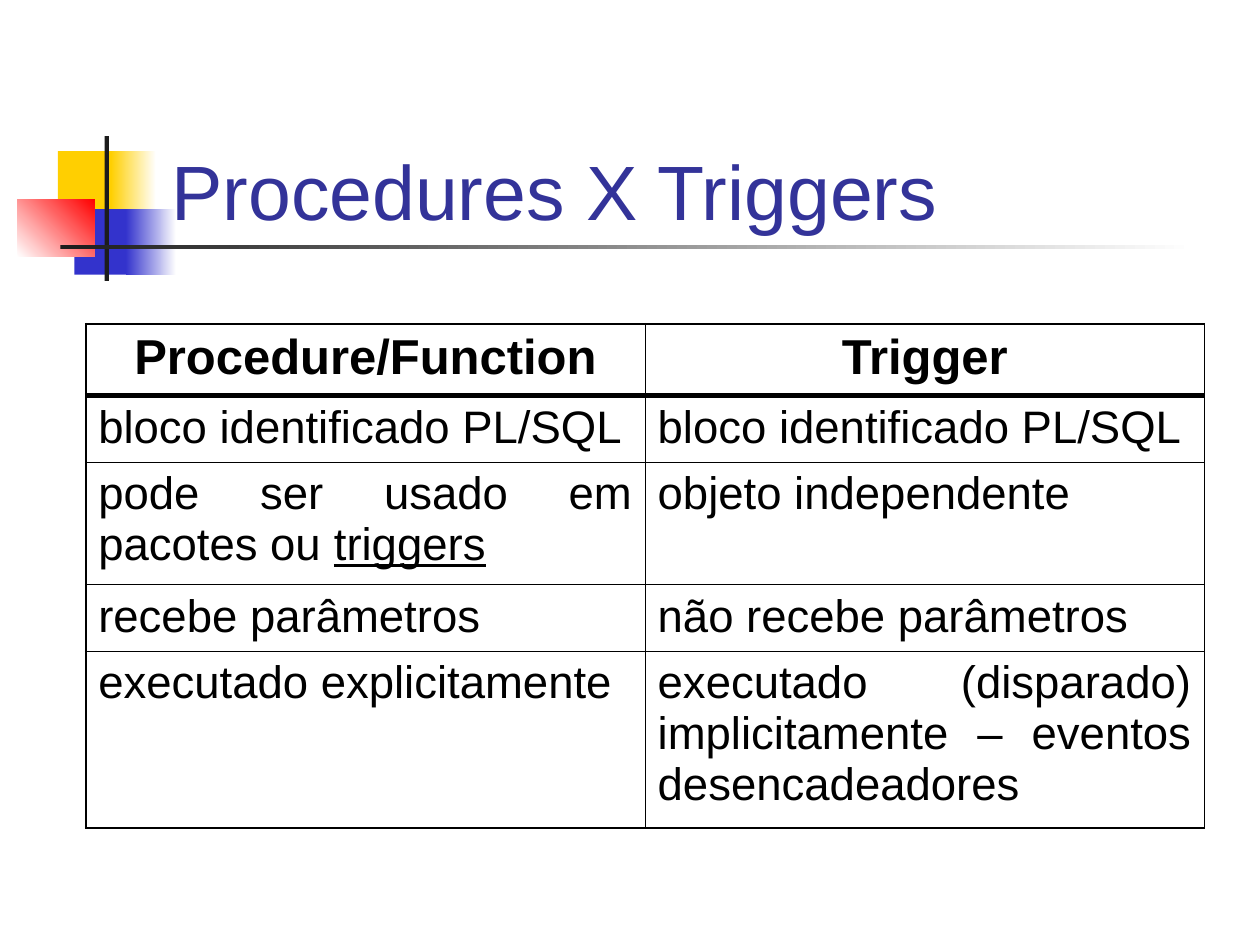
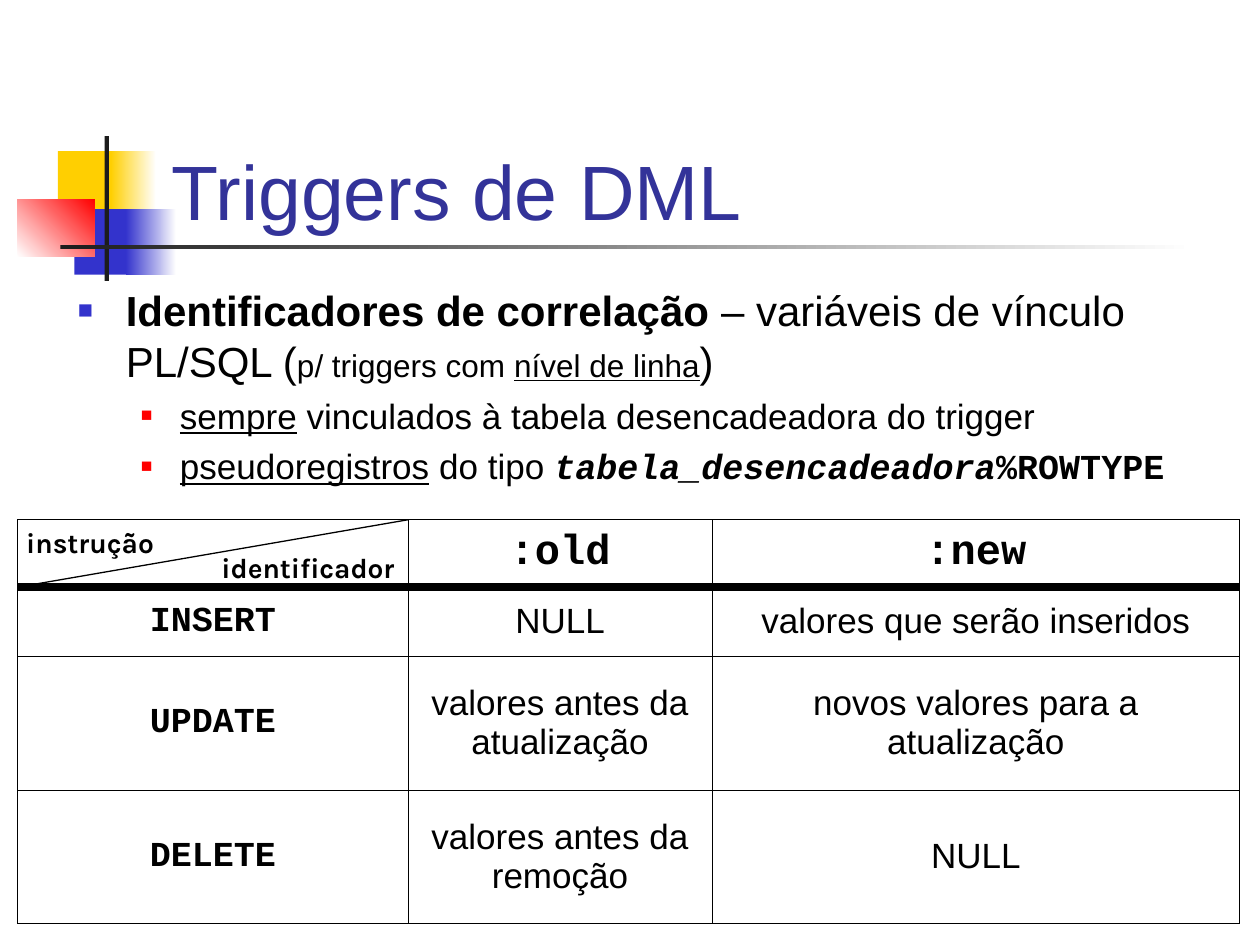
from dataclasses import dataclass, replace
from typing import NamedTuple

from lxml.etree import SubElement
from pptx import Presentation
from pptx.dml.color import RGBColor
from pptx.enum.shapes import MSO_CONNECTOR, MSO_SHAPE
from pptx.enum.text import MSO_ANCHOR, MSO_AUTO_SIZE, PP_ALIGN
from pptx.oxml.ns import qn
from pptx.slide import Slide
from pptx.table import _Cell
from pptx.text.text import _Paragraph
from pptx.util import Emu, Inches, Pt

WIDTH, HEIGHT = Inches(10), Inches(7.5)
COLUMNS, ROWS = 100, 75
BLACK, WHITE, INK = "000000", "FFFFFF", "1C1C1C"
YELLOW, BLUE, RED, TITLE_BLUE = "FFCF01", "3333CC", "FF0000", "333399"
SANS, MONO, LABEL = "Arial", "Courier New", "Karla"


class Box(NamedTuple):
    left: float
    top: float
    width: float
    height: float


class Band(NamedTuple):
    box: Box
    start: str
    end: str | None = None
    angle: float = 0


class Bullet(NamedTuple):
    color: str
    size: int
    margin: float
    hanging: float
    level: int
    space_before: float


class Borders(NamedTuple):
    outer: float
    inner: float
    header: float


@dataclass(frozen=True)
class Span:
    text: str
    size: float
    font: str = SANS
    bold: bool = False
    italic: bool = False
    underline: bool = False
    color: str = BLACK


@dataclass(frozen=True)
class Entry:
    spans: tuple[Span, ...]
    alignment: PP_ALIGN = PP_ALIGN.CENTER
    anchor: MSO_ANCHOR = MSO_ANCHOR.MIDDLE


BANDS = (
    Band(Box(4.6, 12, 4.8, 5.2), YELLOW),
    Band(Box(8.8, 12, 3.6, 5.2), YELLOW, WHITE),
    Band(Box(5.9, 16.6, 4.6, 5.2), BLUE),
    Band(Box(10, 16.6, 4, 5.2), BLUE, WHITE),
    Band(Box(1.4, 15.8, 6.1, 4.6), WHITE, RED, 45),
    Band(Box(8.3, 10.8, 0.35, 11.5), INK),
    Band(Box(4.8, 19.45, 90, 0.35), INK, WHITE),
)
TITLE_BOX = Box(12.6, 6.7, 85.2, 12.5)
MAIN_BULLET = Bullet(BLUE, 60, 3.8, 3.8, 0, 6)
SUB_BULLET = Bullet(RED, 55, 8.1, 3.1, 1, 5)


def across(columns: float) -> Emu:
    return Emu(round(WIDTH * columns / COLUMNS))


def down(rows: float) -> Emu:
    return Emu(round(HEIGHT * rows / ROWS))


def place(box: Box) -> tuple[Emu, Emu, Emu, Emu]:
    return across(box.left), down(box.top), across(box.width), down(box.height)


def color(value: str) -> RGBColor:
    return RGBColor.from_string(value)


def add_spans(paragraph: _Paragraph, spans: tuple[Span, ...]) -> None:
    for span in spans:
        run = paragraph.add_run()
        run.text = span.text
        font = run.font
        font.name, font.size = span.font, Pt(span.size)
        font.bold, font.italic, font.underline = span.bold, span.italic, span.underline
        font.color.rgb = color(span.color)


def draw_band(slide: Slide, band: Band) -> None:
    shape = slide.shapes.add_shape(MSO_SHAPE.RECTANGLE, *place(band.box))
    shape.shadow.inherit = False
    shape.line.fill.background()
    if band.end is None:
        shape.fill.solid()
        shape.fill.fore_color.rgb = color(band.start)
        return
    shape.fill.gradient()
    shape.fill.gradient_angle = band.angle
    for stop, value in zip(shape.fill.gradient_stops, (band.start, band.end)):
        stop.color.rgb = color(value)


def add_titled_slide(presentation: Presentation, text: str) -> Slide:
    slide = presentation.slides.add_slide(presentation.slide_layouts[5])
    for band in BANDS:
        draw_band(slide, band)
    title = slide.shapes.title
    slide.shapes.element.append(title.element)
    title.left, title.top, title.width, title.height = place(TITLE_BOX)
    frame = title.text_frame
    frame.auto_size, frame.vertical_anchor = MSO_AUTO_SIZE.NONE, MSO_ANCHOR.BOTTOM
    paragraph = frame.paragraphs[0]
    paragraph.alignment = PP_ALIGN.LEFT
    add_spans(paragraph, (Span(text, 44, color=TITLE_BLUE),))
    return slide


def add_bullet(paragraph: _Paragraph, bullet: Bullet) -> None:
    properties = paragraph._p.get_or_add_pPr()
    properties.set("marL", str(across(bullet.margin)))
    properties.set("indent", str(-across(bullet.hanging)))
    tint = SubElement(properties, qn("a:buClr"))
    SubElement(tint, qn("a:srgbClr"), val=bullet.color)
    SubElement(properties, qn("a:buSzPct"), val=str(bullet.size * 1000))
    SubElement(properties, qn("a:buFont"), typeface=SANS)
    SubElement(properties, qn("a:buChar"), char="■")
    paragraph.level = bullet.level


def add_bullets(slide: Slide, box: Box, items: list[tuple[Bullet, tuple[Span, ...]]]) -> None:
    frame = slide.shapes.add_textbox(*place(box)).text_frame
    frame.word_wrap = True
    for index, (bullet, spans) in enumerate(items):
        paragraph = frame.add_paragraph() if index else frame.paragraphs[0]
        add_bullet(paragraph, bullet)
        if index:
            paragraph.space_before = Pt(bullet.space_before)
        add_spans(paragraph, spans)


def set_borders(cell: _Cell, widths: dict[str, float]) -> None:
    properties = cell._tc.get_or_add_tcPr()
    for side in "LRTB":
        line = SubElement(properties, qn(f"a:ln{side}"), w=str(Pt(widths[side])))
        fill = SubElement(line, qn("a:solidFill"))
        SubElement(fill, qn("a:srgbClr"), val=BLACK)


def add_grid(slide: Slide, left: float, top: float, widths: list[float],
             heights: list[float], entries: list[list[Entry]], borders: Borders) -> None:
    box = Box(left, top, sum(widths), sum(heights))
    table = slide.shapes.add_table(len(heights), len(widths), *place(box)).table
    table.first_row = table.horz_banding = False
    for column, width in zip(table.columns, widths):
        column.width = across(width)
    for row, height in zip(table.rows, heights):
        row.height = down(height)
    row_edges = [borders.outer, borders.header]
    row_edges += [borders.inner] * (len(heights) - 2) + [borders.outer]
    column_edges = [borders.outer] + [borders.inner] * (len(widths) - 1) + [borders.outer]
    for row, line in enumerate(entries):
        for column, entry in enumerate(line):
            cell = table.cell(row, column)
            set_borders(cell, {"L": column_edges[column], "R": column_edges[column + 1],
                               "T": row_edges[row], "B": row_edges[row + 1]})
            cell.fill.background()
            cell.vertical_anchor = entry.anchor
            paragraph = cell.text_frame.paragraphs[0]
            paragraph.alignment = entry.alignment
            add_spans(paragraph, entry.spans)


def add_line(slide: Slide, start: tuple[float, float], end: tuple[float, float],
             width: float) -> None:
    line = slide.shapes.add_connector(
        MSO_CONNECTOR.STRAIGHT, across(start[0]), down(start[1]), across(end[0]), down(end[1]))
    line.line.color.rgb = color(BLACK)
    line.line.width = Pt(width)
    SubElement(line._element.spPr, qn("a:effectLst"))


def add_label(slide: Slide, box: Box, text: str) -> None:
    frame = slide.shapes.add_textbox(*place(box)).text_frame
    frame.word_wrap = False
    frame.auto_size = MSO_AUTO_SIZE.SHAPE_TO_FIT_TEXT
    add_spans(frame.paragraphs[0], (Span(text, 16, LABEL, bold=True),))


def build_comparison(presentation: Presentation) -> None:
    slide = add_titled_slide(presentation, "Procedures X Triggers")

    def heading(text: str) -> Entry:
        return Entry((Span(text, 28, bold=True),), anchor=MSO_ANCHOR.TOP)

    def feature(text: str, underlined: str = "") -> Entry:
        spans = (Span(text, 26),)
        if underlined:
            spans += (Span(underlined, 26, underline=True),)
        return Entry(spans, PP_ALIGN.JUSTIFY, MSO_ANCHOR.TOP)

    entries = [
        [heading("Procedure/Function"), heading("Trigger")],
        [feature("bloco identificado PL/SQL")] * 2,
        [feature("pode ser usado em pacotes ou ", "triggers"), feature("objeto independente")],
        [feature("recebe parâmetros"), feature("não recebe parâmetros")],
        [feature("executado explicitamente"),
         feature("executado (disparado) implicitamente – eventos desencadeadores")],
    ]
    add_grid(slide, 6.8, 25.7, [44.4] * 2, [5.7, 5.3, 9.7, 5.3, 14], entries,
             Borders(1.08, 0.45, 3))


def build_dml_triggers(presentation: Presentation) -> None:
    slide = add_titled_slide(presentation, "Triggers de DML")
    lead, note, detail = Span("", 24), Span("", 18), Span("", 20)
    code = replace(detail, font=MONO, bold=True)
    add_bullets(slide, Box(5.2, 22.1, 92.8, 18), [
        (MAIN_BULLET, (
            replace(lead, text="Identificadores de correlação ", bold=True),
            replace(lead, text="– variáveis de vínculo PL/SQL ("),
            replace(note, text="p/ triggers com "),
            replace(note, text="nível de linha", underline=True),
            replace(lead, text=")"))),
        (SUB_BULLET, (
            replace(detail, text="sempre", underline=True),
            replace(detail, text=" vinculados à tabela desencadeadora do trigger"))),
        (SUB_BULLET, (
            replace(detail, text="pseudoregistros", underline=True),
            replace(detail, text=" do tipo "),
            replace(code, text="tabela_desencadeadora", italic=True),
            replace(code, text="%ROWTYPE"))),
    ])

    values = [
        ("INSERT", "NULL", "valores que serão inseridos"),
        ("UPDATE", "valores antes da atualização", "novos valores para a atualização"),
        ("DELETE", "valores antes da remoção", "NULL"),
    ]
    identifiers = [Entry((replace(code, text=name, size=24),)) for name in (":old", ":new")]
    entries = [[Entry(()), *identifiers]]
    for statement, old, new in values:
        entries.append([Entry((replace(code, text=statement),)),
                        Entry((replace(detail, text=old),)),
                        Entry((replace(detail, text=new),))])
    left, top, widths, heights = 1.4, 41.25, [31, 24.1, 41.9], [5.35, 5.5, 10.6, 10.6]
    add_grid(slide, left, top, widths, heights, entries, Borders(0.45, 0.45, 0.45))
    header_bottom = top + heights[0]
    add_line(slide, (left, header_bottom), (left + sum(widths), header_bottom), 4.5)
    add_line(slide, (left, header_bottom), (left + widths[0], top), 0.75)
    add_label(slide, Box(1.1, 41.2, 12.5, 3.7), "instrução")
    add_label(slide, Box(16.6, 43.2, 16.3, 3.7), "identificador")


def main() -> None:
    presentation = Presentation()
    presentation.slide_width, presentation.slide_height = WIDTH, HEIGHT
    build_comparison(presentation)
    build_dml_triggers(presentation)
    presentation.save("out.pptx")


if __name__ == "__main__":
    main()
